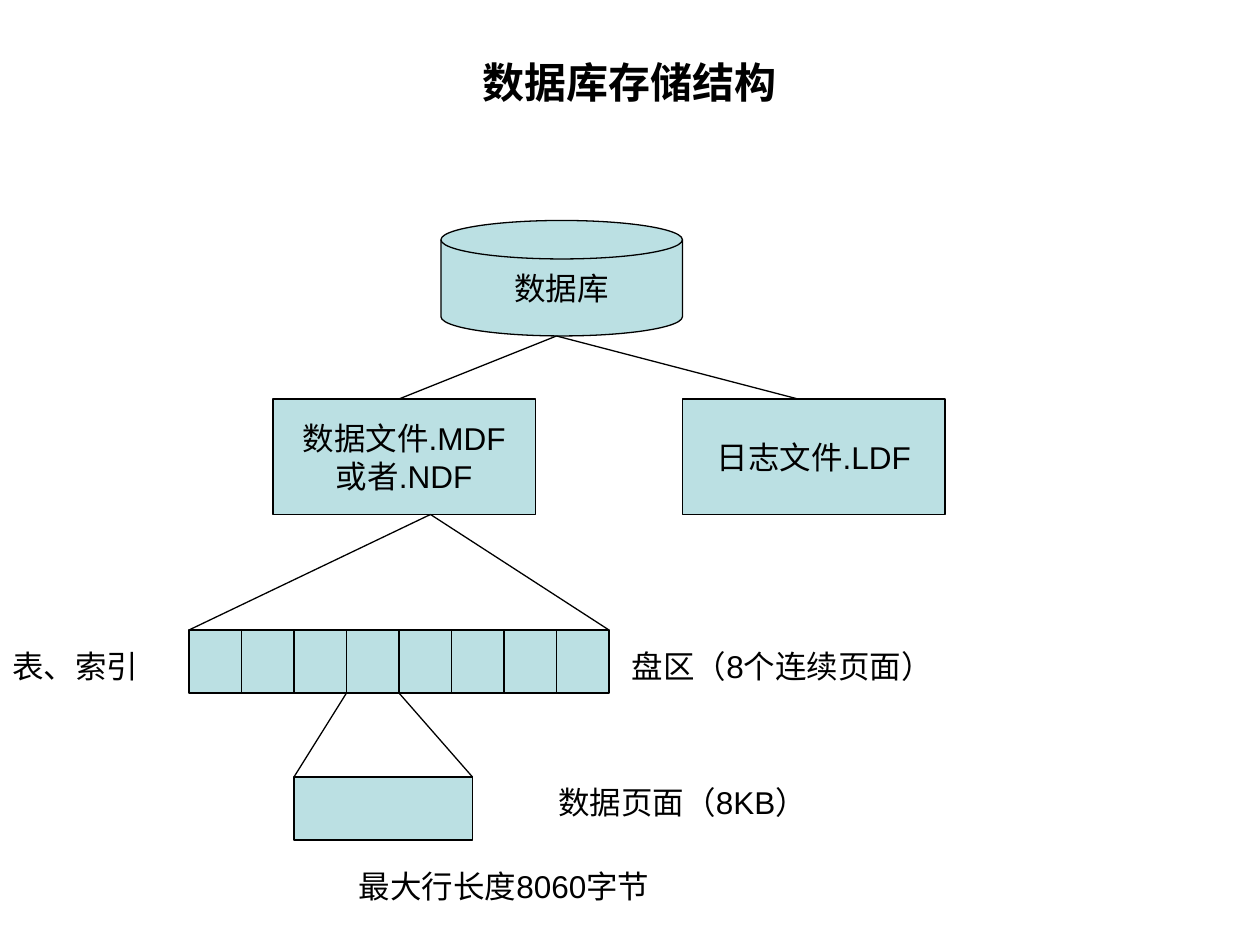
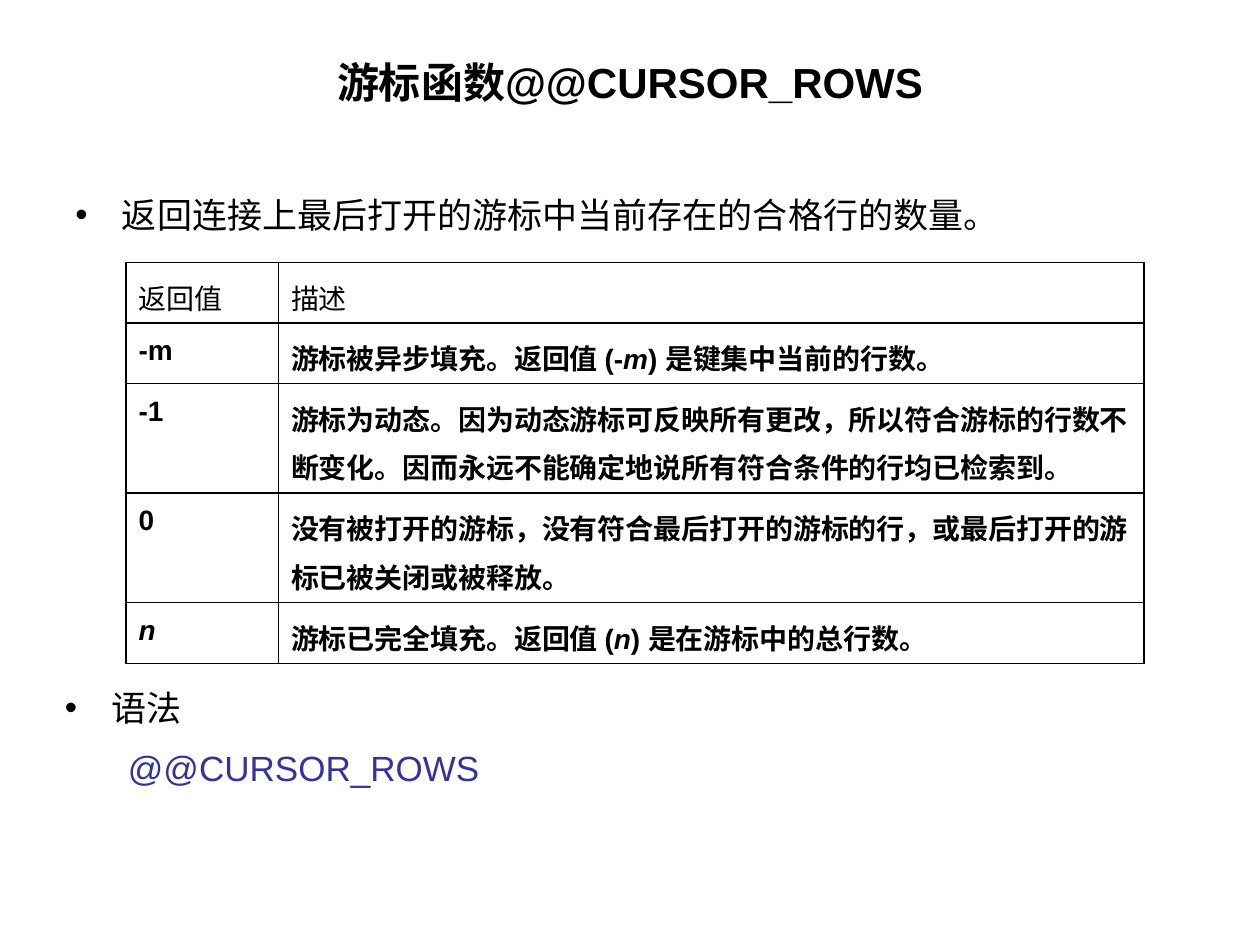
from dataclasses import dataclass
from typing import Any

from lxml import etree
from pptx import Presentation
from pptx.dml.color import RGBColor
from pptx.enum.shapes import MSO_CONNECTOR, MSO_SHAPE
from pptx.enum.text import MSO_ANCHOR, MSO_AUTO_SIZE, PP_ALIGN
from pptx.oxml.ns import qn
from pptx.util import Inches, Pt

DISK = MSO_SHAPE.FLOWCHART_MAGNETIC_DISK
PROCESS = MSO_SHAPE.FLOWCHART_PROCESS
RECT = MSO_SHAPE.RECTANGLE
STRAIGHT = MSO_CONNECTOR.STRAIGHT
CENTER = PP_ALIGN.CENTER
LEFT = PP_ALIGN.LEFT
MIDDLE = MSO_ANCHOR.MIDDLE
TOP = MSO_ANCHOR.TOP
NO_FIT = MSO_AUTO_SIZE.NONE

FONT = "Arial"
COLORS = {"ink": "000000", "node": "BBE0E3", "code": "333399"}
RULE = Pt(0.75)
TITLE_LAYOUT = 5
STEPS = 12  # grid steps to the inch


@dataclass(frozen=True)
class Box:
    """A rectangle in grid steps."""
    left: float
    top: float
    width: float
    height: float

    @property
    def right(self) -> float:
        return self.left + self.width

    @property
    def base(self) -> float:
        return self.top + self.height

    def lengths(self) -> list[Inches]:
        return to_inches(self.left, self.top, self.width, self.height)


@dataclass(frozen=True)
class Node:
    kind: Any
    box: Box
    lines: tuple[str, ...] = ()


@dataclass(frozen=True)
class Label:
    text: str
    box: Box


@dataclass(frozen=True)
class Run:
    text: str
    bold: bool = False
    italic: bool = False


@dataclass(frozen=True)
class Row:
    height: float
    value: tuple[Run, ...]
    about: tuple[Run, ...]


def to_inches(*steps: float) -> list[Inches]:
    return [Inches(step / STEPS) for step in steps]


def ink(name: str) -> RGBColor:
    return RGBColor.from_string(COLORS[name])


def add_run(para: Any, run: Run, size: float, color: str = "ink") -> None:
    part = para.add_run()
    part.text = run.text
    font = part.font
    font.name, font.size = FONT, Pt(size)
    font.bold, font.italic = run.bold, run.italic
    font.color.rgb = ink(color)


def add_title(deck: Any, text: str) -> Any:
    """Add a slide with a formatted title and return it."""
    slide = deck.slides.add_slide(deck.slide_layouts[TITLE_LAYOUT])
    title = slide.shapes.title
    title.left, title.top, title.width, title.height = Box(6, 3.6, 108, 8.4).lengths()
    frame = title.text_frame
    frame.auto_size = NO_FIT
    frame.vertical_anchor = MIDDLE
    para = frame.paragraphs[0]
    para.alignment = CENTER
    add_run(para, Run(text, bold=True), 24)
    return slide


def add_node(shapes: Any, node: Node) -> None:
    shape = shapes.add_shape(node.kind, *node.box.lengths())
    shape.shadow.inherit = False
    shape.fill.solid()
    shape.fill.fore_color.rgb = ink("node")
    shape.line.color.rgb = ink("ink")
    shape.line.width = RULE
    frame = shape.text_frame
    frame.word_wrap = False
    frame.vertical_anchor = MIDDLE
    for i, line in enumerate(node.lines):
        para = frame.add_paragraph() if i else frame.paragraphs[0]
        para.alignment = CENTER
        add_run(para, Run(line), 18)


def add_line(shapes: Any, x1: float, y1: float, x2: float, y2: float) -> None:
    line = shapes.add_connector(STRAIGHT, *to_inches(x1, y1, x2, y2))
    line.line.color.rgb = ink("ink")
    line.line.width = RULE
    etree.SubElement(line._element.spPr, qn("a:effectLst"))


def add_frame(slide: Any, box: Box) -> Any:
    frame = slide.shapes.add_textbox(*box.lengths()).text_frame
    frame.word_wrap = True
    return frame


def indent(para: Any, margin: float, first: float, bullet: str = "") -> None:
    props = para._p.get_or_add_pPr()
    props.set("marL", str(Inches(margin)))
    props.set("indent", str(Inches(first)))
    if bullet:
        face = etree.SubElement(props, qn("a:buFont"))
        face.set("typeface", FONT)
        etree.SubElement(props, qn("a:buChar")).set("char", bullet)


def add_point(frame: Any, text: str) -> None:
    para = frame.paragraphs[0]
    indent(para, 0.37, -0.37, "•")
    para.line_spacing = 1.2
    para.space_after = Pt(6)
    add_run(para, Run(text), 20)


def add_edges(cell: Any) -> None:
    props = cell._tc.get_or_add_tcPr()
    for side in ("lnL", "lnR", "lnT", "lnB"):
        edge = etree.SubElement(props, qn(f"a:{side}"))
        edge.set("w", str(RULE))
        fill = etree.SubElement(edge, qn("a:solidFill"))
        etree.SubElement(fill, qn("a:srgbClr")).set("val", COLORS["ink"])


def add_grid(slide: Any, box: Box, widths: tuple[float, ...], rows: list[Row]) -> None:
    shape = slide.shapes.add_table(len(rows), len(widths), *box.lengths())
    table = shape.table
    table.first_row = table.horz_banding = False
    for col, width in zip(table.columns, widths):
        col.width = Inches(width)
    for line, row in zip(table.rows, rows):
        line.height = Inches(row.height)
        for cell, runs in zip(line.cells, (row.value, row.about)):
            add_edges(cell)
            cell.fill.background()
            cell.vertical_anchor = TOP
            para = cell.text_frame.paragraphs[0]
            para.alignment = LEFT
            para.line_spacing = 1.2
            para.space_after = Pt(4.8)
            for run in runs:
                add_run(para, run, 16)


def add_storage(deck: Any) -> None:
    slide = add_title(deck, "数据库存储结构")
    shapes = slide.shapes
    base = Node(DISK, Box(42, 21, 23, 11), ("数据库",))
    data = Node(PROCESS, Box(26, 38, 25, 11), ("数据文件.MDF", "或者.NDF"))
    log = Node(PROCESS, Box(65, 38, 25, 11), ("日志文件.LDF",))
    page = Node(RECT, Box(28, 74, 17, 6))
    for node in (base, data, log, page):
        add_node(shapes, node)

    strip = Box(18, 60, 40, 6)
    count = 8
    cuts = [strip.left + strip.width * i / count for i in range(1, count)]
    group = shapes.add_group_shape().shapes
    add_node(group, Node(RECT, strip))
    for x in cuts:
        add_line(group, x, strip.top, x, strip.base)

    for x in (38, 76):
        add_line(shapes, 53, base.box.base, x, data.box.top)
    for x in (strip.left, strip.right):
        add_line(shapes, 41, data.box.base, x, strip.top)
    for cut, x in zip(cuts[2:4], (page.box.left, page.box.right)):
        add_line(shapes, cut, strip.base, x, page.box.top)

    labels = [
        Label("表、索引", Box(0, 61, 17, 4.8)),
        Label("盘区（8个连续页面）", Box(59, 61, 34, 4.8)),
        Label("数据页面（8KB）", Box(52, 74, 34, 4.8)),
        Label("最大行长度8060字节", Box(33, 82, 34, 4.8)),
    ]
    for label in labels:
        add_run(add_frame(slide, label.box).paragraphs[0], Run(label.text), 18)


def bold(text: str) -> Run:
    return Run(text, bold=True)


def slant(text: str) -> Run:
    return Run(text, bold=True, italic=True)


def add_cursor(deck: Any) -> None:
    name = "@@CURSOR_ROWS"
    slide = add_title(deck, "游标函数" + name)
    intro = add_frame(slide, Box(6, 17, 108, 8))
    add_point(intro, "返回连接上最后打开的游标中当前存在的合格行的数量。")

    one, two = 0.484, 0.866
    rows = [
        Row(one, (Run("返回值"),), (Run("描述"),)),
        Row(one, (bold("-m"),),
            (bold("游标被异步填充。返回值 (-"), slant("m"), bold(") 是键集中当前的行数。"))),
        Row(two, (bold("-1"),),
            (bold("游标为动态。因为动态游标可反映所有更改，所以符合游标的行数不断变化。"
                  "因而永远不能确定地说所有符合条件的行均已检索到。"),)),
        Row(two, (bold("0"),),
            (bold("没有被打开的游标，没有符合最后打开的游标的行，"
                  "或最后打开的游标已被关闭或被释放。"),)),
        Row(one, (slant("n"),),
            (bold("游标已完全填充。返回值 ("), slant("n"), bold(") 是在游标中的总行数。"))),
    ]
    rows = [Row(round(row.height, 2), row.value, row.about) for row in rows]
    add_grid(slide, Box(12, 25, 97, 38.2), (1.21, 6.87), rows)

    syntax = add_frame(slide, Box(5, 64, 108, 13))
    add_point(syntax, "语法")
    para = syntax.add_paragraph()
    para.level = 1
    indent(para, 0.81, -0.31)
    para.space_before = Pt(4)
    add_run(para, Run(name), 20, "code")


def main() -> None:
    deck = Presentation()
    deck.slide_width, deck.slide_height = Inches(10), Inches(7.5)
    add_storage(deck)
    add_cursor(deck)
    deck.save("out.pptx")


if __name__ == "__main__":
    main()
